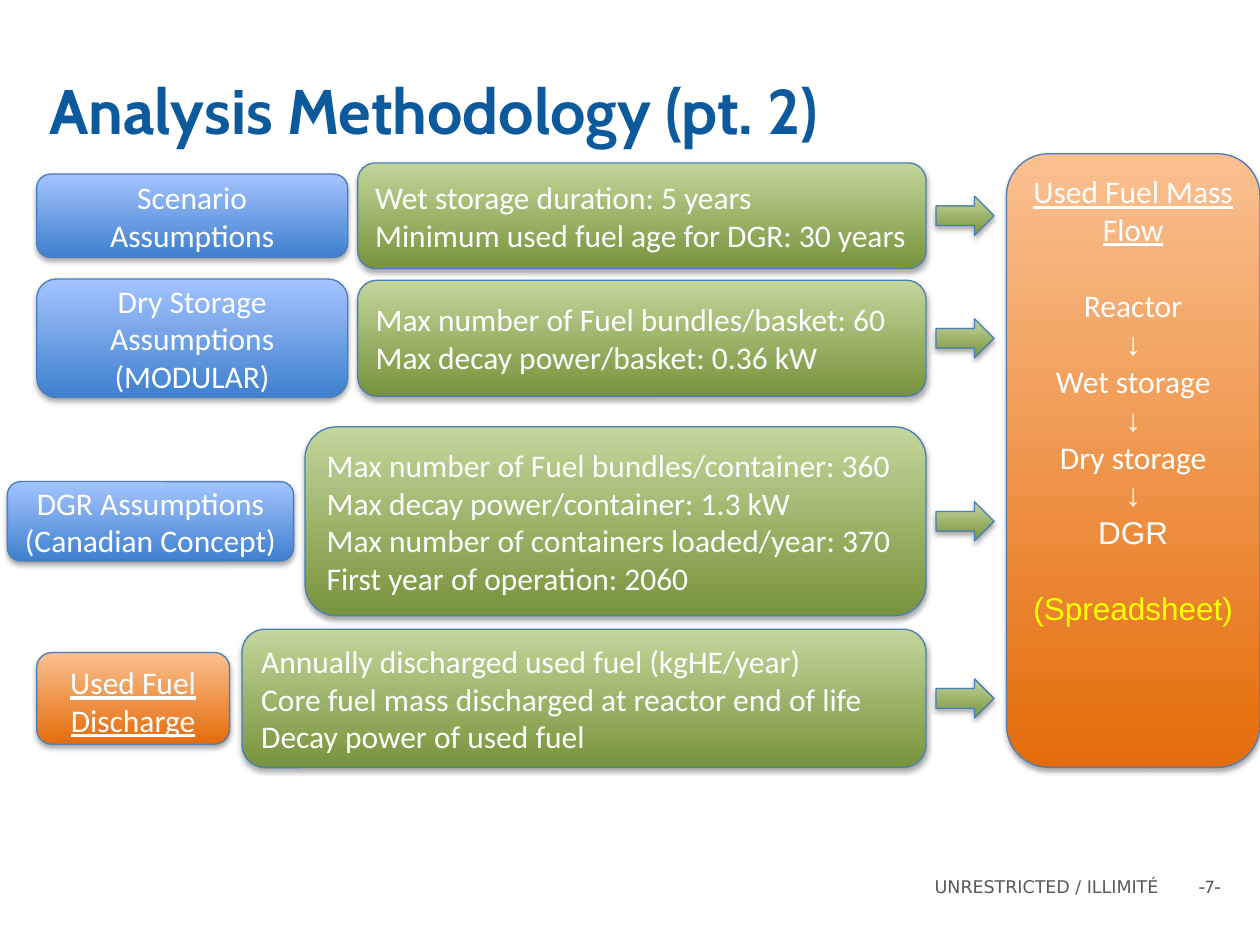
from lxml import etree
from pptx import Presentation
from pptx.dml.color import RGBColor
from pptx.enum.shapes import MSO_SHAPE
from pptx.enum.text import MSO_ANCHOR, PP_ALIGN
from pptx.oxml.ns import qn
from pptx.util import Cm, Pt

ROUND, ARROW = MSO_SHAPE.ROUNDED_RECTANGLE, MSO_SHAPE.RIGHT_ARROW
LEFT, MID, RIGHT = PP_ALIGN.LEFT, PP_ALIGN.CENTER, PP_ALIGN.RIGHT
TOP, CENTER = MSO_ANCHOR.TOP, MSO_ANCHOR.MIDDLE

WHITE = RGBColor(0xFF, 0xFF, 0xFF)
YELLOW = RGBColor(0xFF, 0xFF, 0x00)
NAVY = RGBColor(0x0C, 0x5A, 0x9C)
GRAY = RGBColor(0x59, 0x59, 0x59)
EDGE = RGBColor(0x4B, 0x7E, 0xBC)
# Gradients run from bottom to top
BLUE = (RGBColor(0x3F, 0x80, 0xCE), RGBColor(0xA4, 0xC4, 0xFF))
GREEN = (RGBColor(0x77, 0x93, 0x3C), RGBColor(0xC3, 0xD6, 0x9B))
ORANGE = (RGBColor(0xE4, 0x6C, 0x0A), RGBColor(0xFA, 0xC0, 0x90))


def write(frame, text, font="Calibri", size=18, color=WHITE, bold=False,
          line=False, align=LEFT, gap=0):
    """Add one paragraph, using the first one while it is empty."""
    para = frame.paragraphs[0]
    if para.runs:
        para = frame.add_paragraph()
    para.alignment = align
    para.space_before = Pt(gap)
    run = para.add_run()
    run.text = text
    run.font.name, run.font.size = font, Pt(size)
    run.font.bold, run.font.underline = bold, line
    run.font.color.rgb = color


class Deck:
    def __init__(self):
        self.file = Presentation()
        self.file.slide_width, self.file.slide_height = Cm(25.4), Cm(19.05)
        self.slide = self.file.slides.add_slide(self.file.slide_layouts[5])

    def title(self, text, x, y, w, h):
        shape = self.slide.shapes.title
        shape.left, shape.top, shape.width, shape.height = map(Cm, (x, y, w, h))
        shape.text_frame.vertical_anchor = CENTER
        write(shape.text_frame, text, font="Cabin", size=36, color=NAVY, bold=True)

    def note(self, text, x, y, w, h, **style):
        box = self.slide.shapes.add_textbox(*map(Cm, (x, y, w, h)))
        box.text_frame.word_wrap = True
        write(box.text_frame, text, size=10, color=GRAY, align=RIGHT, **style)

    def shape(self, kind, tones, x, y, w, h):
        shape = self.slide.shapes.add_shape(kind, *map(Cm, (x, y, w, h)))
        shape.fill.gradient()
        shape.fill.gradient_angle = 90
        for stop, tone in zip(shape.fill.gradient_stops, tones):
            stop.color.rgb = tone
        shape.line.color.rgb = EDGE
        shape.line.width = Pt(0.75)
        self.shade(shape)
        return shape

    def shade(self, shape):
        shape.shadow.inherit = False
        effect = shape._element.spPr.find(qn("a:effectLst"))
        outer = etree.SubElement(effect, qn("a:outerShdw"), blurRad="40000",
                                 dist="23000", dir="5400000", rotWithShape="0")
        black = etree.SubElement(outer, qn("a:srgbClr"), val="000000")
        etree.SubElement(black, qn("a:alpha"), val="35000")

    def box(self, tones, x, y, w, h, lines=(), anchor=CENTER, **style):
        frame = self.shape(ROUND, tones, x, y, w, h).text_frame
        frame.word_wrap = True
        frame.vertical_anchor = anchor
        for text in lines:
            write(frame, text, **style)
        return frame

    def arrow(self, x, mid):
        w, h = 1.17, 0.79
        self.shape(ARROW, GREEN, x, mid - h / 2, w, h)


# Each row: middle, label (tones, left, width, height, lines, style),
# facts (left, height, lines)
PLAIN = {"anchor": CENTER}
LINED = {"anchor": TOP, "line": True}
ROWS = [
    (4.35, (BLUE, 0.74, 6.27, 1.68, ["Scenario Assumptions"], PLAIN),
     (7.21, 2.13, ["Wet storage duration: 5 years",
                   "Minimum used fuel age for DGR: 30 years"])),
    (6.82, (BLUE, 0.74, 6.27, 2.39,
            ["Dry Storage Assumptions", "(MODULAR)"], PLAIN),
     (7.21, 2.34, ["Max number of Fuel bundles/basket: 60",
                   "Max decay power/basket: 0.36 kW"])),
    (10.51, (BLUE, 0.15, 5.77, 1.6,
             ["DGR Assumptions", "(Canadian Concept)"], PLAIN),
     (6.15, 3.81, ["Max number of Fuel bundles/container: 360",
                   "Max decay power/container: 1.3 kW",
                   "Max number of containers loaded/year: 370",
                   "First year of operation: 2060"])),
    (14.08, (ORANGE, 0.74, 3.89, 1.85, ["Used Fuel Discharge"], LINED),
     (4.88, 2.79, ["Annually discharged used fuel (kgHE/year)",
                   "Core fuel mass discharged at reactor end of life",
                   "Decay power of used fuel"])),
]
EDGE_X = 18.67  # shared right edge of the facts


def main():
    deck = Deck()
    deck.title("Analysis Methodology (pt. 2)", 0.74, 1.32, 23.9, 1.78)

    # Footer
    deck.note("-7-", 23.14, 17.53, 1.73, 0.69, font="Cabin")
    deck.note("UNRESTRICTED / ILLIMITÉ", 11, 17.53, 12.6, 0.74,
              font="DejaVu Sans")

    # Used fuel flow
    flow = deck.box(ORANGE, 20.29, 3.1, 5.11, 12.37, anchor=TOP)
    write(flow, "Used Fuel Mass Flow", line=True, align=MID)
    for step, gap in (("Reactor", 22), ("Wet storage", 0), ("Dry storage", 0)):
        write(flow, step, align=MID, gap=gap)
        write(flow, "↓", font="Arial", align=MID)
    write(flow, "DGR", font="Arial", align=MID)
    write(flow, "(Spreadsheet)", font="Arial", color=YELLOW, align=MID, gap=22)

    # Inputs, each with its facts and an arrow to the flow
    for mid, (tones, x, w, h, lines, style), (left, tall, facts) in ROWS:
        deck.box(tones, x, mid - h / 2, w, h, lines, align=MID, **style)
        deck.box(GREEN, left, mid - tall / 2, EDGE_X - left, tall, facts)
        deck.arrow(EDGE_X + 0.2, mid)

    deck.file.save("out.pptx")


if __name__ == "__main__":
    main()
